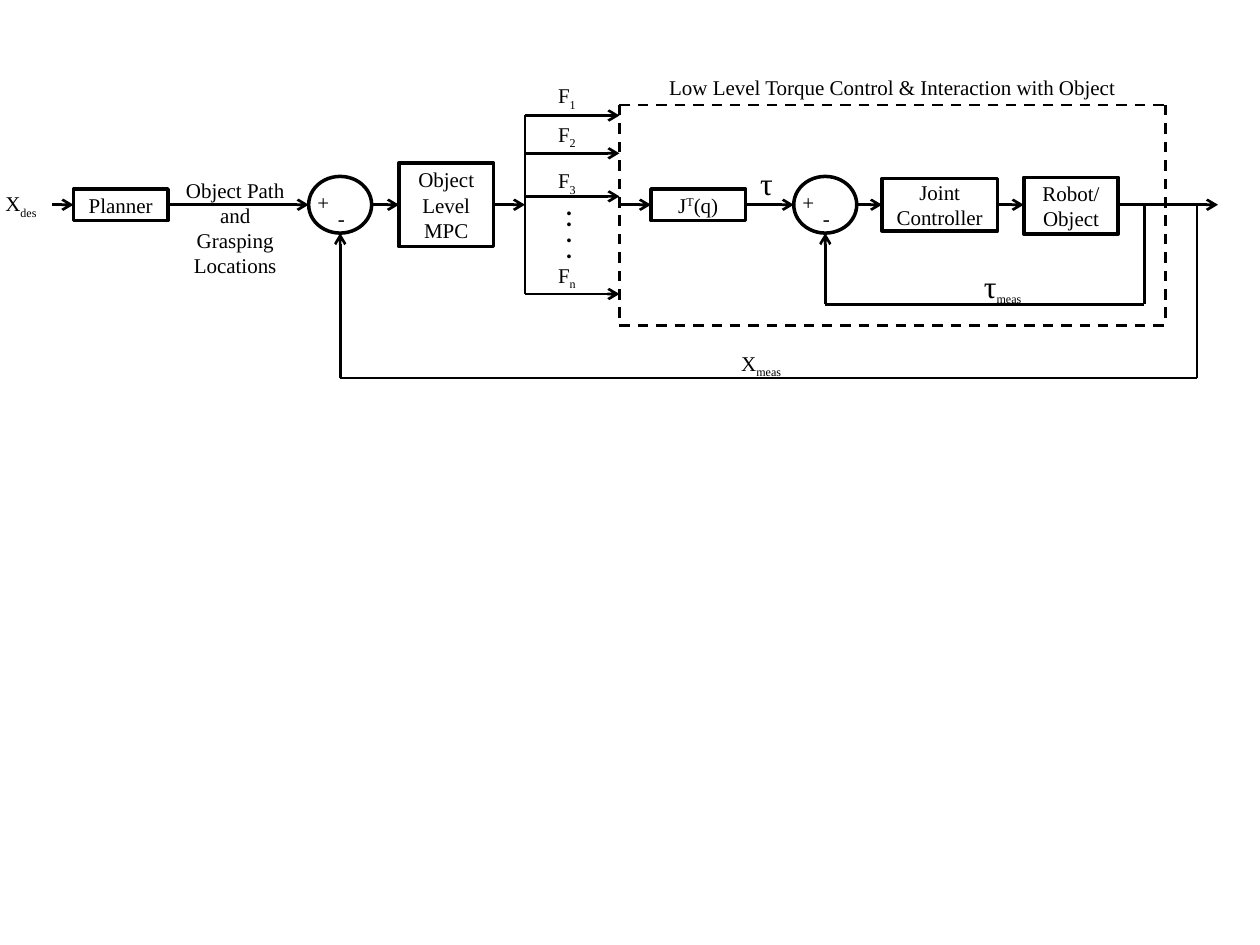
"""Draw a block diagram of a two-loop manipulation controller."""
from lxml import etree
from pptx import Presentation, util as u
from pptx.dml.color import RGBColor
from pptx.enum import dml, shapes, text
from pptx.oxml.ns import qn

COLS, ROWS = 120, 90
SHAPE, ALIGN = shapes.MSO_SHAPE, text.PP_ALIGN


def color(code):
    return RGBColor.from_string(code)


class Diagram:
    """Style and current slide; lengths are in grid columns and rows."""
    font, ink = "Times New Roman", "000000"
    outline, stroke = u.Pt(2), u.Pt(1.5)

    def __init__(self, prs):
        self.prs = prs
        self.s = prs.slides.add_slide(prs.slide_layouts[6])

    def x(self, cols):
        return round(self.prs.slide_width * cols / COLS)

    def y(self, rows):
        return round(self.prs.slide_height * rows / ROWS)

    def rect(self, x, y, w, h):
        return self.x(x), self.y(y), self.x(w), self.y(h)

    def add_runs(self, tf, runs, align=ALIGN.CENTER, size=12, font=None):
        tf.word_wrap = True
        p = tf.paragraphs[0]
        p.alignment = align
        for run in runs:
            content, base, points = run + (0, size)[len(run) - 1:]
            r = p.add_run()
            r.text = content
            r.font.name = font or self.font
            r.font.size = u.Pt(points)
            r.font.color.rgb = color(self.ink)
            if base:
                r.font._element.set("baseline", str(base * 1000))

    def outlined(self, parent, kind, at):
        sp = parent.shapes.add_shape(kind, *self.rect(*at))
        sp.shadow.inherit = False
        sp.fill.background()
        sp.line.color.rgb = color(self.ink)
        sp.line.width = self.outline
        return sp

    def block(self, at, *runs):
        tf = self.outlined(self.s, SHAPE.RECTANGLE, at).text_frame
        tf.vertical_anchor = text.MSO_ANCHOR.MIDDLE
        self.add_runs(tf, runs)

    def label(self, at, *runs, parent=None, wrap=True, **style):
        tf = (parent or self.s).shapes.add_textbox(*self.rect(*at)).text_frame
        self.add_runs(tf, runs, **style)
        tf.word_wrap = wrap

    def junction(self, x, y):
        group = self.s.shapes.add_group_shape()
        self.outlined(group, SHAPE.OVAL, (x, y, 6, 5.4))
        for sign, dx, dy, w in (("+", -0.36, 0.7, 6), ("-", 1.6, 2.2, 3.6)):
            self.label((x + dx, y + dy, w, 3.6), (sign,),
                       parent=group, align=ALIGN.LEFT)

    def line(self, x1, y1, x2, y2, arrow=False, dash=False):
        c = self.s.shapes.add_connector(
            shapes.MSO_CONNECTOR.STRAIGHT,
            self.x(x1), self.y(y1), self.x(x2), self.y(y2))
        c.line.color.rgb = color(self.ink)
        c.line.width = self.stroke
        if dash:
            c.line.dash_style = dml.MSO_LINE.DASH
        spPr = c._element.spPr
        if arrow:
            etree.SubElement(spPr.find(qn("a:ln")), qn("a:tailEnd"), type="arrow")
        etree.SubElement(spPr, qn("a:effectLst"))


prs = Presentation()
prs.slide_width, prs.slide_height = u.Inches(10), u.Inches(7.5)
d = Diagram(prs)

AXIS, BUS, LEFT, RIGHT, TOP, BOTTOM = 19.5, 50, 59, 111, 10, 31
OUTER, INNER = 29.4, 75.6

d.block((7, 18, 9, 3), ("Planner",))
d.block((38, 15.5, 9, 8), ("Object Level MPC",))
d.block((62, 18, 9, 3), ("J",), ("T", 30), ("(q)",))
d.block((84, 17, 11, 5), ("Joint Controller",))
d.block((97.5, 16.9, 9, 5.4), ("Robot/Object",))
for x in (OUTER, INNER):
    d.junction(x, 16.8)

for start, end in ((5, 7), (16, OUTER), (OUTER + 6, 38), (47, BUS), (LEFT, 62),
                   (71, INNER), (INNER + 6, 84), (95, 97.5), (106.5, 116)):
    d.line(start, AXIS, end, AXIS, arrow=True)

d.line(BUS, 11, BUS, 28)
for index, row, top in (("1", 11, 7.3), ("2", 14.6, 11),
                        ("3", 18.7, 15.4), ("n", 28, 24.4)):
    d.line(BUS, row, LEFT, row, arrow=True)
    d.label((51, top, 6, 3.6), ("F",), (index, -25))
for top in (16.9, 18, 19.5, 21):
    d.label((53, top, 2, 4.8), (".",), wrap=False, size=18, font="Calibri")

for row in (TOP, BOTTOM):
    d.line(LEFT, row, RIGHT + 0.2, row, dash=True)
for col in (LEFT, RIGHT):
    d.line(col, TOP, col, BOTTOM, dash=True)

for tap, depth, target in ((109, 29, INNER + 3), (114, 36, OUTER + 3)):
    d.line(tap, AXIS, tap, depth)
    d.line(tap, depth, target, depth)
    d.line(target, depth, target, 22.2, arrow=True)

d.label((-1, 17.6, 6, 3.6), ("X",), ("des", -25))
d.label((15.9, 16.3, 13, 8.5), ("Object Path and Grasping Locations",))
d.label((70, 15, 6, 4.8), ("τ",), size=18)
d.label((92, 24.8, 7, 4.8), ("τ", 0, 18), ("meas", -25))
d.label((66, 32.8, 13, 3.6), ("X",), ("meas", -25))
d.label((LEFT, 6.5, 52, 3.6),
        ("Low Level Torque Control & Interaction with Object",))

prs.save("out.pptx")
